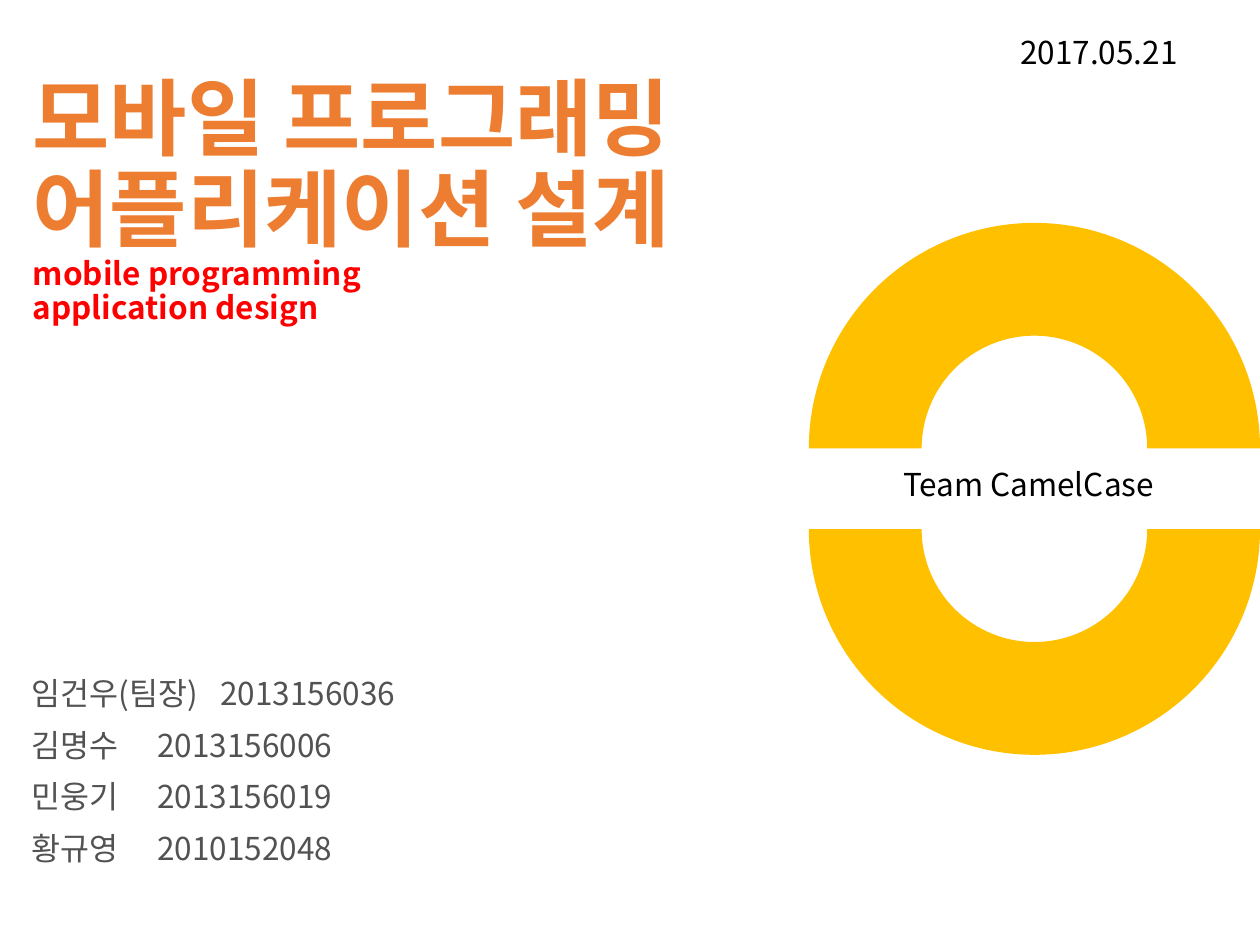
from pptx import Presentation
from pptx.dml.color import RGBColor
from pptx.enum import shapes, text
from pptx.oxml.ns import qn
from pptx.util import Pt
from lxml import etree

FONT = "Noto Sans CJK KR"
TITLE = [
    ("모바일 프로그래밍 \v어플리케이션 설계\v", dict(size=48, color="ED7D31", bold=True)),
    ("mobile programming\vapplication design", dict(size=18, color="FF0000", bold=True)),
]
# name, student number, tab stop in points
TEAM = [
    ("임건우(팀장)", "2013156036", 127.7),
    ("김명수", "2013156006", 109.4),
    ("민웅기", "2013156019", 109.4),
    ("황규영", "2010152048", 109.4),
]
LABELS = [
    ("Team CamelCase", (509, 262, 296.6, 29)),
    ("2017.05.21", (576, 15.1, 265.7, 29)),
]
ARC_LEFT, ARC_SIZE = 462.2, 257.8
ARCS = [(127.4, 0), (173.5, 180)]  # top, rotation


def rgb(code):
    """Turn a hex string into a colour."""
    return RGBColor.from_string(code)


def place(shape, left, top, width, height):
    """Move and size a shape, in points."""
    shape.left, shape.top = Pt(left), Pt(top)
    shape.width, shape.height = Pt(width), Pt(height)


def write(para, words, size=18, color="000000", bold=False):
    """Add text to a paragraph, one run per line."""
    for i, line in enumerate(words.split("\v")):
        if i:
            para.add_line_break()
        if not line:
            continue
        run = para.add_run()
        run.text = line
        font = run.font
        font.size, font.bold, font.name = Pt(size), bold, FONT
        font.color.rgb = rgb(color)
        east = etree.SubElement(font._element, qn("a:ea"))
        east.set("typeface", FONT)


def setup(frame, anchor):
    """Turn on wrapping, turn off fitting and set the anchor."""
    frame.word_wrap = True
    frame.auto_size = text.MSO_AUTO_SIZE.NONE
    frame.vertical_anchor = anchor


def layout(para, align, before=0):
    """Set alignment and spacing of a paragraph."""
    para.alignment = align
    para.line_spacing = 0.9
    para.space_before = Pt(before)


def tab(para, pos):
    """Give a paragraph one left tab stop."""
    stops = etree.SubElement(para._p.get_or_add_pPr(), qn("a:tabLst"))
    stop = etree.SubElement(stops, qn("a:tab"))
    stop.set("pos", str(int(Pt(pos))))
    stop.set("algn", "l")


deck = Presentation()
deck.slide_width, deck.slide_height = Pt(720), Pt(540)
slide = deck.slides.add_slide(deck.slide_layouts[0])
title, team = slide.placeholders

place(title, 11.5, 94.3, 697.7, 95.8)
setup(title.text_frame, text.MSO_ANCHOR.BOTTOM)
para = title.text_frame.paragraphs[0]
layout(para, text.PP_ALIGN.LEFT)
for words, style in TITLE:
    write(para, words, **style)

place(team, 10.8, 384, 319, 150)
setup(team.text_frame, text.MSO_ANCHOR.TOP)
for i, (name, number, pos) in enumerate(TEAM):
    frame = team.text_frame
    para = frame.add_paragraph() if i else frame.paragraphs[0]
    layout(para, text.PP_ALIGN.LEFT, before=10)
    tab(para, pos)
    write(para, f"{name}\t{number}", color="525252")

for top, turn in ARCS:
    arc = slide.shapes.add_shape(
        shapes.MSO_SHAPE.BLOCK_ARC, Pt(ARC_LEFT), Pt(top), Pt(ARC_SIZE), Pt(ARC_SIZE))
    arc.rotation = turn
    arc.shadow.inherit = False
    arc.fill.solid()
    arc.fill.fore_color.rgb = rgb("FFC000")
    arc.line.fill.background()

for words, box in LABELS:
    label = slide.shapes.add_textbox(*map(Pt, box))
    setup(label.text_frame, text.MSO_ANCHOR.TOP)
    write(label.text_frame.paragraphs[0], words)

deck.save("out.pptx")
